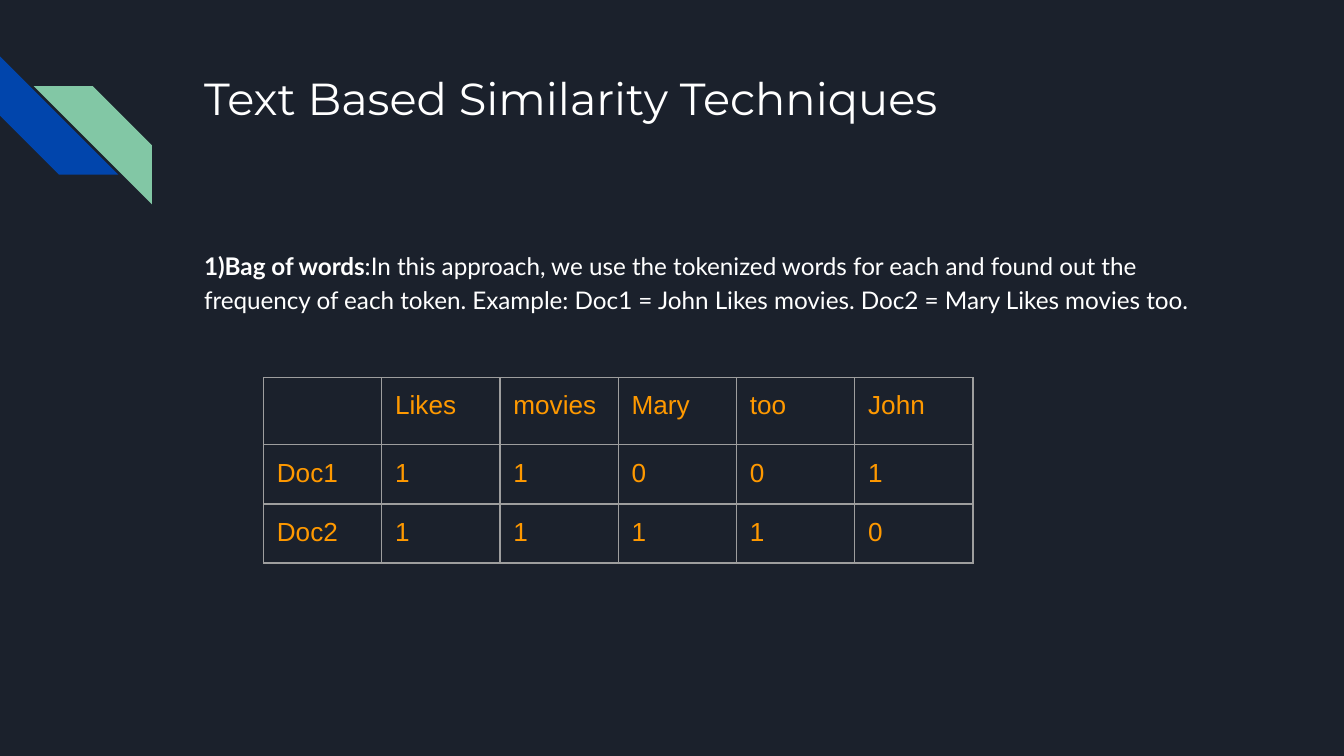
"""Build the slide on bag-of-words text similarity."""
from lxml import etree
from pptx import Presentation, util as u
from pptx.dml.color import RGBColor
from pptx.enum import shapes
from pptx.oxml.ns import qn

WHITE, ORANGE, GREY = "FFFFFF", "FF9900", "9E9E9E"
MARGIN = u.Inches(0.1)


def paint(fill, color):
    fill.solid()
    fill.fore_color.rgb = RGBColor.from_string(color)


def style(run, font, size, color, bold=False):
    run.font.name, run.font.size, run.font.bold = font, u.Pt(size), bold
    paint(run.font.fill, color)


deck = Presentation()
deck.slide_width = u.Inches(10)
deck.slide_height = deck.slide_width * 9 // 16
slide = deck.slides.add_slide(deck.slide_layouts[6])
paint(slide.background.fill, "1B212C")

stripe_side = u.Inches(0.88)
for left, top, turn, color in [(0, 0.42, 270, "0145AC"), (0.25, 0.64, 90, "82C7A5")]:
    stripe = slide.shapes.add_shape(shapes.MSO_SHAPE.DIAGONAL_STRIPE,
                                    u.Inches(left), u.Inches(top), stripe_side, stripe_side)
    stripe.rotation = turn
    stripe.shadow.inherit = False
    stripe.line.fill.background()
    paint(stripe.fill, color)

heading = [("Text Based Similarity Techniques", False)]
explanation = [
    ("1)Bag of words", True),
    (":In this approach, we use the tokenized words for each and found out the "
     "frequency of each token. Example: Doc1 = John Likes movies. "
     "Doc2 = Mary Likes movies too.", False),
]
for top, height, font, size, spacing, parts in [
    (0.43, 1, "Montserrat", 24, 1.0, heading),
    (1.74, 3.18, "Lato", 13, 1.15, explanation),
]:
    frame = slide.shapes.add_textbox(u.Inches(1.42), u.Inches(top),
                                     u.Inches(7.7), u.Inches(height)).text_frame
    frame.word_wrap = True
    frame.margin_left = frame.margin_right = frame.margin_top = frame.margin_bottom = MARGIN
    frame.paragraphs[0].line_spacing = spacing
    for words, bold in parts:
        run = frame.paragraphs[0].add_run()
        run.text = words
        style(run, font, size, WHITE, bold)

counts = [
    ["", "Likes", "movies", "Mary", "too", "John"],
    ["Doc1", "1", "1", "0", "0", "1"],
    ["Doc2", "1", "1", "1", "1", "0"],
]
column_width, row_height = u.Inches(0.88), u.Inches(0.44)
frequency = slide.shapes.add_table(
    len(counts), len(counts[0]), u.Inches(1.96), u.Inches(2.81),
    column_width * len(counts[0]), row_height * len(counts)).table
frequency.first_row = frequency.horz_banding = False
for column in frequency.columns:
    column.width = column_width
for row, values in zip(frequency.rows, counts):
    row.height = row_height
    for cell, value in zip(row.cells, values):
        cell.margin_left = cell.margin_right = cell.margin_top = cell.margin_bottom = MARGIN
        cell.text_frame.text = value
        paragraph = cell.text_frame.paragraphs[0]
        for run in paragraph.runs:
            style(run, "Arial", 14, ORANGE)
        if not value:
            ending = etree.SubElement(paragraph._p, qn("a:endParaRPr"), sz="1800")
            etree.SubElement(ending, qn("a:latin"), typeface="Arial")
        properties = cell._tc.get_or_add_tcPr()
        for side in ("lnL", "lnR", "lnT", "lnB"):
            border = etree.SubElement(properties, qn(f"a:{side}"), w=str(u.Pt(0.75)))
            solid = etree.SubElement(border, qn("a:solidFill"))
            etree.SubElement(solid, qn("a:srgbClr"), val=GREY)
        cell.fill.background()

deck.save("out.pptx")
